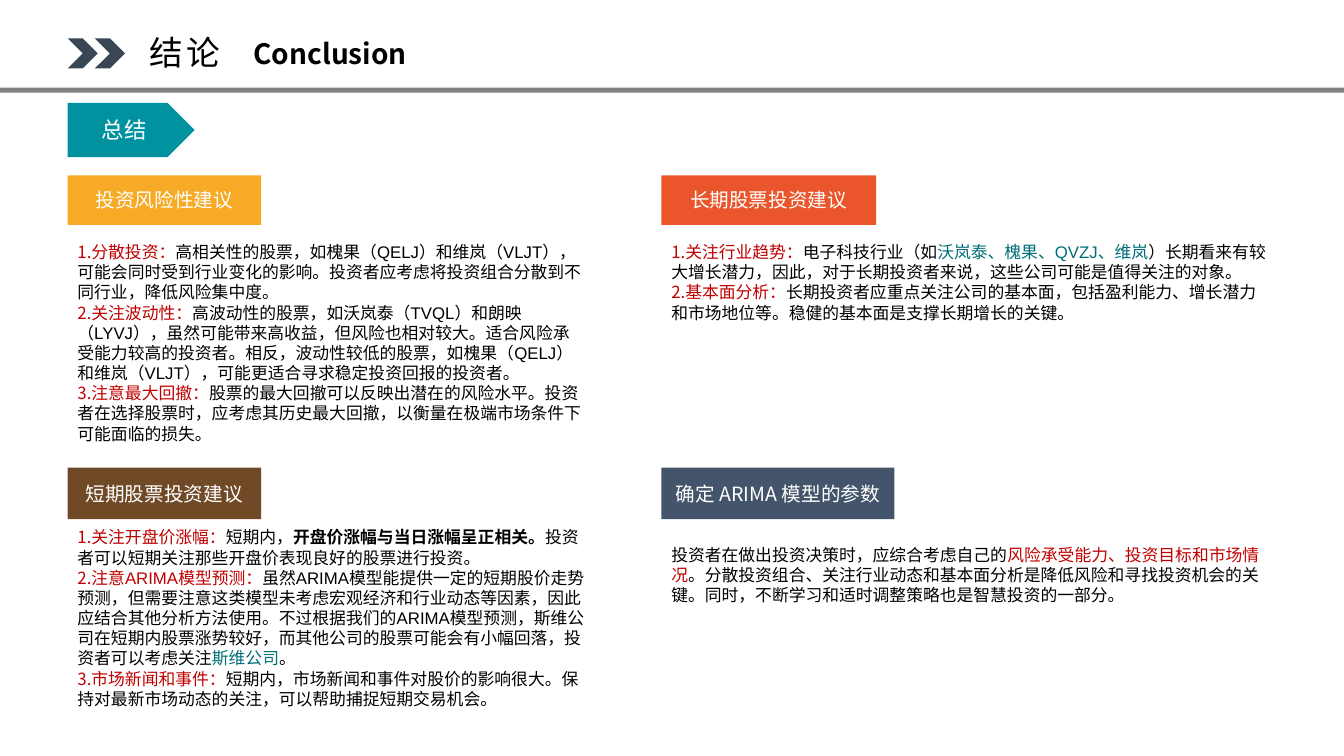
from dataclasses import dataclass
from typing import NamedTuple

from lxml.etree import SubElement
from pptx import Presentation
from pptx.dml.color import RGBColor
from pptx.enum.shapes import MSO_SHAPE
from pptx.enum.text import MSO_ANCHOR, MSO_AUTO_SIZE, PP_ALIGN
from pptx.oxml.ns import qn
from pptx.util import Inches, Pt


@dataclass(frozen=True)
class Theme:
    """Colours, fonts and type sizes of the slide."""
    black: str = "000000"
    white: str = "FFFFFF"
    slate: str = "394754"
    gray: str = "808080"
    teal: str = "00939F"
    amber: str = "F6AA26"
    orange: str = "EA552B"
    brown: str = "704927"
    blue: str = "44546A"
    red: str = "C00000"
    company: str = "006E77"
    heading_font: str = "Noto Sans CJK SC"
    body_font: str = "Arial"
    title: int = 24
    subtitle: int = 20
    tag: int = 16
    heading: int = 14
    body: int = 12


T = Theme()


class Box(NamedTuple):
    """Left, top, width and height in inches."""
    left: float
    top: float
    width: float
    height: float


class Run(NamedTuple):
    """Text with its own colour and weight."""
    text: str
    color: str = T.black
    bold: bool = False


class Section(NamedTuple):
    """A coloured heading with the advice below it."""
    heading: str
    fill: str
    label: Box
    body: Box
    paragraphs: list[list[Run]]
    numbered: bool = True


LEFT, RIGHT = 0.67, 6.56
UPPER, LOWER = 1.74, 4.64

SECTIONS = [
    Section("投资风险性建议", T.amber, Box(LEFT, UPPER, 1.92, 0.49), Box(LEFT, 2.35, 5.23, 1.51), [
        [Run("分散投资：", T.red),
         Run("高相关性的股票，如槐果（QELJ）和维岚（VLJT），可能会同时受到行业变化的影响。"
             "投资者应考虑将投资组合分散到不同行业，降低风险集中度。")],
        [Run("关注波动性：", T.red),
         Run("高波动性的股票，如沃岚泰（TVQL）和朗映（LYVJ），虽然可能带来高收益，但风险也相对较大。"
             "适合风险承受能力较高的投资者。相反，波动性较低的股票，如槐果（QELJ）和维岚（VLJT），"
             "可能更适合寻求稳定投资回报的投资者。")],
        [Run("注意最大回撤：", T.red),
         Run("股票的最大回撤可以反映出潜在的风险水平。投资者在选择股票时，应考虑其历史最大回撤，"
             "以衡量在极端市场条件下可能面临的损失。")],
    ]),
    Section("长期股票投资建议", T.orange, Box(RIGHT, UPPER, 2.13, 0.49), Box(RIGHT, 2.35, 6.1, 0.91), [
        [Run("关注行业趋势：", T.red), Run("电子科技行业（如"),
         Run("沃岚泰、槐果、QVZJ、维岚", T.company),
         Run("）长期看来有较大增长潜力，因此，对于长期投资者来说，这些公司可能是值得关注的对象。")],
        [Run("基本面分析：", T.red),
         Run("长期投资者应重点关注公司的基本面，包括盈利能力、增长潜力和市场地位等。"
             "稳健的基本面是支撑长期增长的关键。")],
    ]),
    Section("短期股票投资建议", T.brown, Box(LEFT, LOWER, 1.92, 0.51), Box(LEFT, 5.18, 5.23, 1.72), [
        [Run("关注开盘价涨幅：", T.red), Run("短期内，"),
         Run("开盘价涨幅与当日涨幅呈正相关。", bold=True),
         Run("投资者可以短期关注那些开盘价表现良好的股票进行投资。")],
        [Run("注意ARIMA模型预测：", T.red),
         Run("虽然ARIMA模型能提供一定的短期股价走势预测，但需要注意这类模型未考虑宏观经济和行业动态等因素，"
             "因此应结合其他分析方法使用。不过根据我们的ARIMA模型预测，斯维公司在短期内股票涨势较好，"
             "而其他公司的股票可能会有小幅回落，投资者可以考虑关注"),
         Run("斯维公司", T.company), Run("。")],
        [Run("市场新闻和事件：", T.red),
         Run("短期内，市场新闻和事件对股价的影响很大。保持对最新市场动态的关注，"
             "可以帮助捕捉短期交易机会。")],
    ]),
    Section("确定 ARIMA 模型的参数", T.blue, Box(RIGHT, LOWER, 2.31, 0.51), Box(RIGHT, 5.35, 6.1, 0.71), [
        [Run("投资者在做出投资决策时，应综合考虑自己的"),
         Run("风险承受能力、投资目标和市场情况", T.red),
         Run("。分散投资组合、关注行业动态和基本面分析是降低风险和寻找投资机会的关键。"
             "同时，不断学习和适时调整策略也是智慧投资的一部分。")],
    ], numbered=False),
]


def write(tf, paragraphs: list[list[Run]], *, size: int, font: str = T.heading_font,
          align: PP_ALIGN = PP_ALIGN.LEFT, numbered: bool = False, spacing: int = 0) -> None:
    """Fill a text frame with formatted paragraphs."""
    for i, runs in enumerate(paragraphs):
        p = tf.add_paragraph() if i else tf.paragraphs[0]
        p.alignment = align
        if numbered:
            SubElement(p._p.get_or_add_pPr(), qn("a:buAutoNum"), type="arabicPeriod")
        for run in runs:
            r = p.add_run()
            r.text = run.text
            r.font.size = Pt(size)
            r.font.name = font
            r.font.bold = run.bold
            r.font.color.rgb = RGBColor.from_string(run.color)
            rPr = r._r.get_or_add_rPr()
            SubElement(rPr, qn("a:ea"), typeface=T.heading_font)
            if spacing:
                rPr.set("spc", str(spacing * 100))


def add_block(shapes, kind: MSO_SHAPE, box: Box, fill: str, text: str = "",
              size: int = T.heading) -> None:
    """Draw a flat shape with an optional centred label."""
    sp = shapes.add_shape(kind, *map(Inches, box))
    sp.shadow.inherit = False
    sp.fill.solid()
    sp.fill.fore_color.rgb = RGBColor.from_string(fill)
    sp.line.fill.background()
    if text:
        tf = sp.text_frame
        tf.word_wrap = True
        tf.vertical_anchor = MSO_ANCHOR.MIDDLE
        write(tf, [[Run(text, T.white)]], size=size, align=PP_ALIGN.CENTER)


def add_title(shapes, box: Box, run: Run, **fmt) -> None:
    """Add a one-line title that grows with its text."""
    tf = shapes.add_textbox(*map(Inches, box)).text_frame
    tf.margin_left = tf.margin_right = Inches(0.14)
    tf.margin_top = tf.margin_bottom = Inches(0.07)
    tf.word_wrap = False
    tf.auto_size = MSO_AUTO_SIZE.SHAPE_TO_FIT_TEXT
    write(tf, [[run]], **fmt)


def add_section(shapes, section: Section) -> None:
    """Add a section heading and its text."""
    add_block(shapes, MSO_SHAPE.RECTANGLE, section.label, section.fill, section.heading)
    tf = shapes.add_textbox(*map(Inches, section.body)).text_frame
    tf.word_wrap = True
    write(tf, section.paragraphs, size=T.body, font=T.body_font, numbered=section.numbered)


def main() -> None:
    """Build and save the slide."""
    prs = Presentation()
    prs.slide_width, prs.slide_height = Inches(13.33), Inches(7.5)
    s = prs.slides.add_slide(prs.slide_layouts[6])
    chevrons = s.shapes.add_group_shape()
    for i in range(2):
        add_block(chevrons.shapes, MSO_SHAPE.CHEVRON, Box(LEFT + 0.27 * i, 0.38, 0.3, 0.3), T.slate)
    add_block(s.shapes, MSO_SHAPE.RECTANGLE, Box(0, 0.87, 13.33, 0.05), T.gray)
    add_title(s.shapes, Box(1.34, 0.25, 1.03, 0.54), Run("结论"), size=T.title, spacing=3)
    add_title(s.shapes, Box(2.32, 0.29, 1.91, 0.48), Run("Conclusion", bold=True),
              size=T.subtitle, align=PP_ALIGN.CENTER)
    add_block(s.shapes, MSO_SHAPE.PENTAGON, Box(LEFT, 1.02, 1.26, 0.54), T.teal, "总结", T.tag)
    for section in SECTIONS:
        add_section(s.shapes, section)
    prs.save("out.pptx")


if __name__ == "__main__":
    main()
